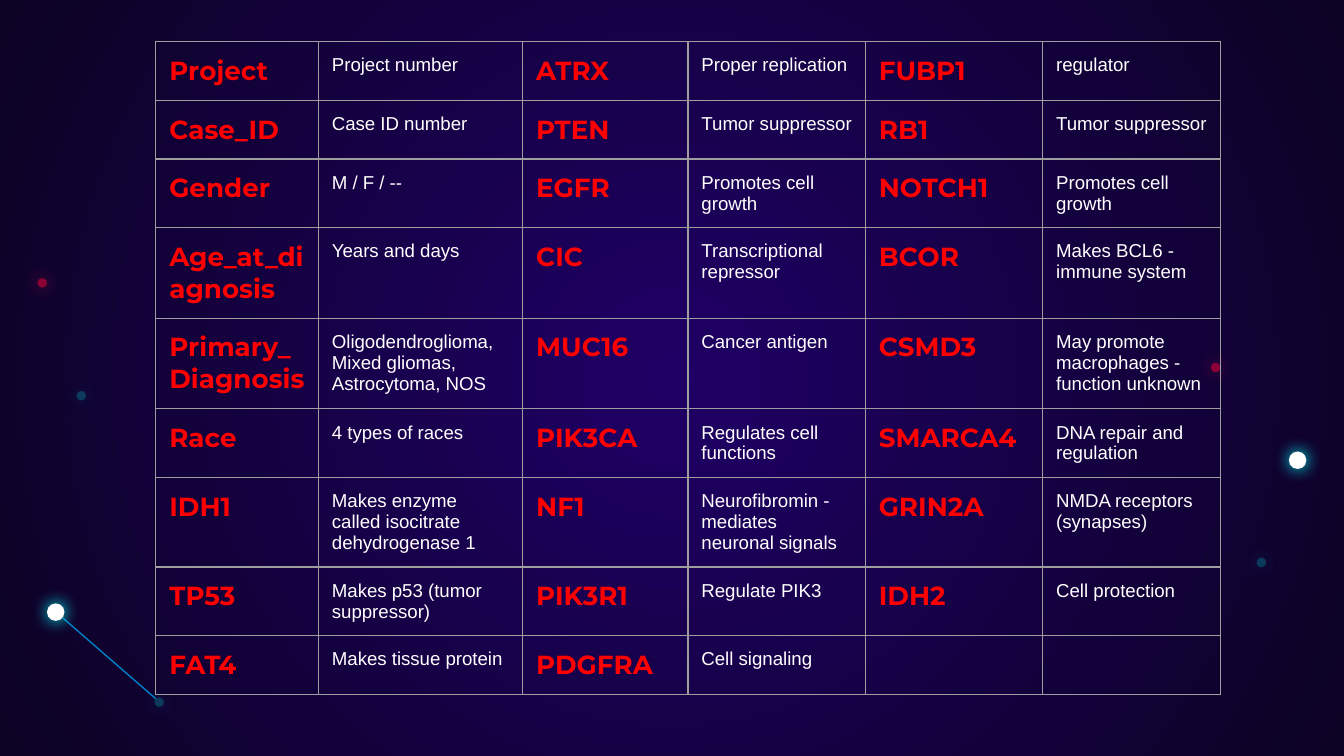
import pptx
import pptx.dml.color
import pptx.enum.shapes
import pptx.oxml.ns
import pptx.util
from lxml import etree

Inches = pptx.util.Inches
Pt = pptx.util.Pt
qn = pptx.oxml.ns.qn

COLUMN_WIDTHS = [1.21, 1.52, 1.23, 1.32, 1.32, 1.32]
ROW_HEIGHT = 0.42
FIELDS = [
    ["Project", "Project number", "ATRX", "Proper replication", "FUBP1", "regulator"],
    ["Case_ID", "Case ID number", "PTEN", "Tumor suppressor", "RB1", "Tumor suppressor"],
    ["Gender", "M / F / --", "EGFR", "Promotes cell growth", "NOTCH1", "Promotes cell growth"],
    ["Age_at_diagnosis", "Years and days", "CIC", "Transcriptional repressor",
     "BCOR", "Makes BCL6 - immune system"],
    ["Primary_Diagnosis", "Oligodendroglioma, Mixed gliomas, Astrocytoma, NOS",
     "MUC16", "Cancer antigen", "CSMD3", "May promote macrophages - function unknown"],
    ["Race", "4 types of races", "PIK3CA", "Regulates cell functions",
     "SMARCA4", "DNA repair and regulation"],
    ["IDH1", "Makes enzyme called isocitrate dehydrogenase 1",
     "NF1", "Neurofibromin - mediates neuronal signals", "GRIN2A", "NMDA receptors (synapses)"],
    ["TP53", "Makes p53 (tumor suppressor)", "PIK3R1", "Regulate PIK3", "IDH2", "Cell protection"],
    ["FAT4", "Makes tissue protein", "PDGFRA", "Cell signaling", "", ""],
]


def color(value):
    return pptx.dml.color.RGBColor.from_string(value)


def add_element(parent, tag, **attributes):
    return etree.SubElement(parent, qn(tag), {key: str(value) for key, value in attributes.items()})


class SlideBuilder:
    name_style = ("Montserrat", 14, "FF0000", True)
    detail_style = ("Arial", 10, "FFFFFF", False)
    border_color = "9E9E9E"
    line_width = Pt(0.75)
    cyan = "00FFFD"

    def __init__(self, slide):
        self.slide = slide

    def background(self, center, edge):
        fill = self.slide.background.fill
        fill.gradient()
        for stop, position, value in zip(fill.gradient_stops, (0, 1), (center, edge)):
            stop.position = position
            stop.color.rgb = color(value)
        gradient = next(self.slide.element.iter(qn("a:gradFill")))
        gradient.remove(gradient.find(qn("a:lin")))
        circle = add_element(gradient, "a:path", path="circle")
        add_element(circle, "a:fillToRect", l=50000, t=50000, r=50000, b=50000)

    def dot(self, left, top, size, fill, glow, opacity=100):
        dot = self.slide.shapes.add_shape(
            pptx.enum.shapes.MSO_SHAPE.OVAL,
            Inches(left), Inches(top), Inches(size), Inches(size))
        dot.fill.solid()
        dot.fill.fore_color.rgb = color(fill)
        dot.line.fill.background()
        dot.shadow.inherit = False
        properties = dot.element.spPr
        if opacity < 100:
            add_element(next(properties.iter(qn("a:srgbClr"))), "a:alpha", val=opacity * 1000)
        shadow = add_element(properties.find(qn("a:effectLst")), "a:outerShdw",
                             blurRad=Pt(9), dist=0, dir=0, algn="ctr", rotWithShape=0)
        add_element(shadow, "a:srgbClr", val=glow)

    def star(self, left, top):
        self.dot(left, top, 0.13, "FFFFFF", self.cyan)

    def cyan_dot(self, left, top):
        self.dot(left, top, 0.07, self.cyan, self.cyan, 20)

    def red_dot(self, left, top):
        self.dot(left, top, 0.07, "FF003A", "FF2758", 48)

    def line(self, start, end, value):
        line = self.slide.shapes.add_connector(
            pptx.enum.shapes.MSO_CONNECTOR.STRAIGHT, *map(Inches, start + end))
        line.line.color.rgb = color(value)
        line.line.width = self.line_width
        add_element(line.element.spPr, "a:effectLst")

    def cell(self, cell, text, style):
        cell.margin_left = cell.margin_right = Inches(0.1)
        cell.margin_top = cell.margin_bottom = Inches(0.1)
        properties = cell._tc.get_or_add_tcPr()
        for side in "LRTB":
            border = add_element(properties, f"a:ln{side}", w=self.line_width)
            add_element(add_element(border, "a:solidFill"), "a:srgbClr", val=self.border_color)
        cell.fill.background()
        para = cell.text_frame.paragraphs[0]
        para.text = text
        family, size, value, bold = style
        if not text:
            add_element(para._p, "a:endParaRPr", sz=size * 100)
        for span in para.runs:
            span.font.name = family
            span.font.size = Pt(size)
            span.font.color.rgb = color(value)
            span.font.bold = bold

    def table(self, left, top, widths, row_height, rows):
        table = self.slide.shapes.add_table(
            len(rows), len(widths), Inches(left), Inches(top),
            Inches(sum(widths)), Inches(row_height * len(rows))).table
        table.first_row = table.horz_banding = False
        for column, width in zip(table.columns, widths):
            column.width = Inches(width)
        for row, texts in zip(table.rows, rows):
            row.height = Inches(row_height)
            for index, (cell, text) in enumerate(zip(row.cells, texts)):
                is_name = index % 2 == 0 and text
                self.cell(cell, text, self.name_style if is_name else self.detail_style)


def main():
    deck = pptx.Presentation()
    deck.slide_width = Inches(10)
    deck.slide_height = Inches(10 * 9 / 16)
    page = SlideBuilder(deck.slides.add_slide(deck.slide_layouts[6]))
    page.background("1F0065", "0C0223")
    page.cyan_dot(0.57, 2.91)
    page.red_dot(0.28, 2.07)
    page.line((1.16, 5.2), (0.47, 4.6), "007FCA")
    page.cyan_dot(1.15, 5.19)
    page.star(0.35, 4.49)
    page.star(9.59, 3.36)
    page.cyan_dot(9.35, 4.15)
    page.red_dot(9.01, 2.7)
    page.table(1.16, 0.31, COLUMN_WIDTHS, ROW_HEIGHT, FIELDS)
    deck.save("out.pptx")


if __name__ == "__main__":
    main()
